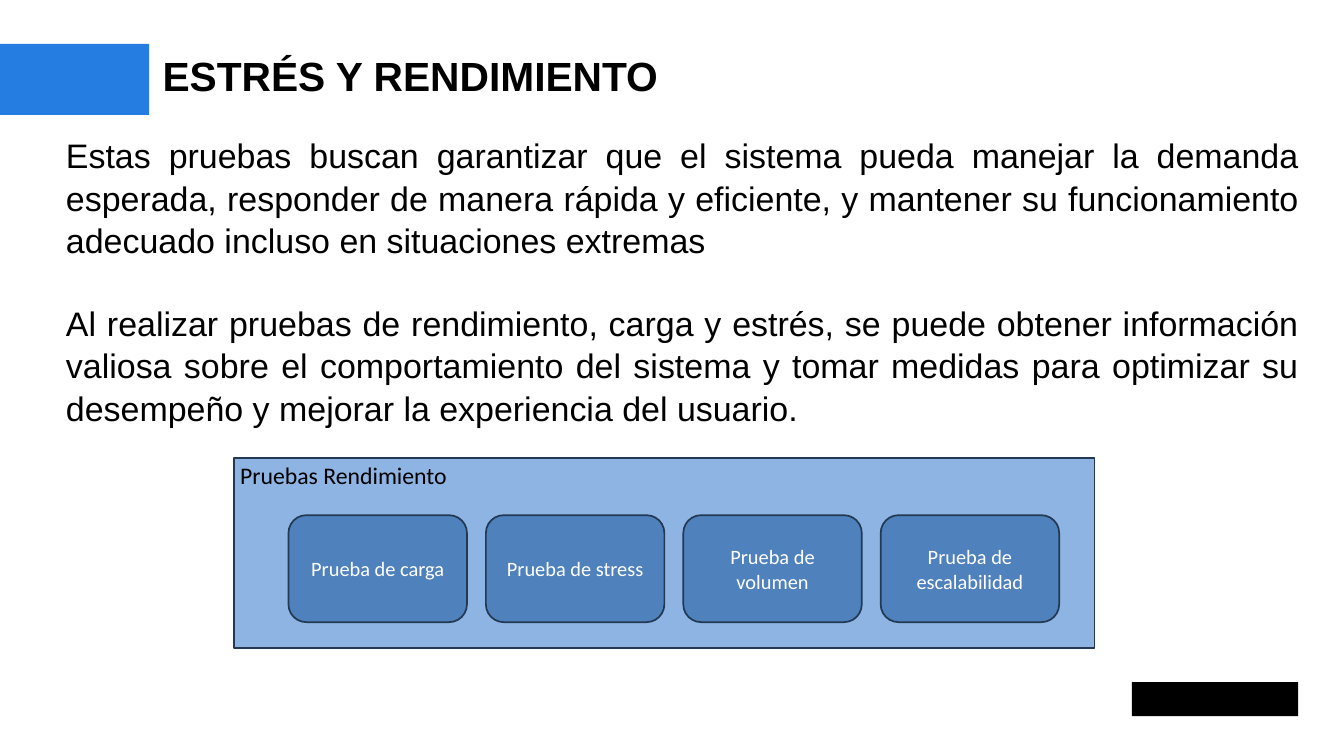
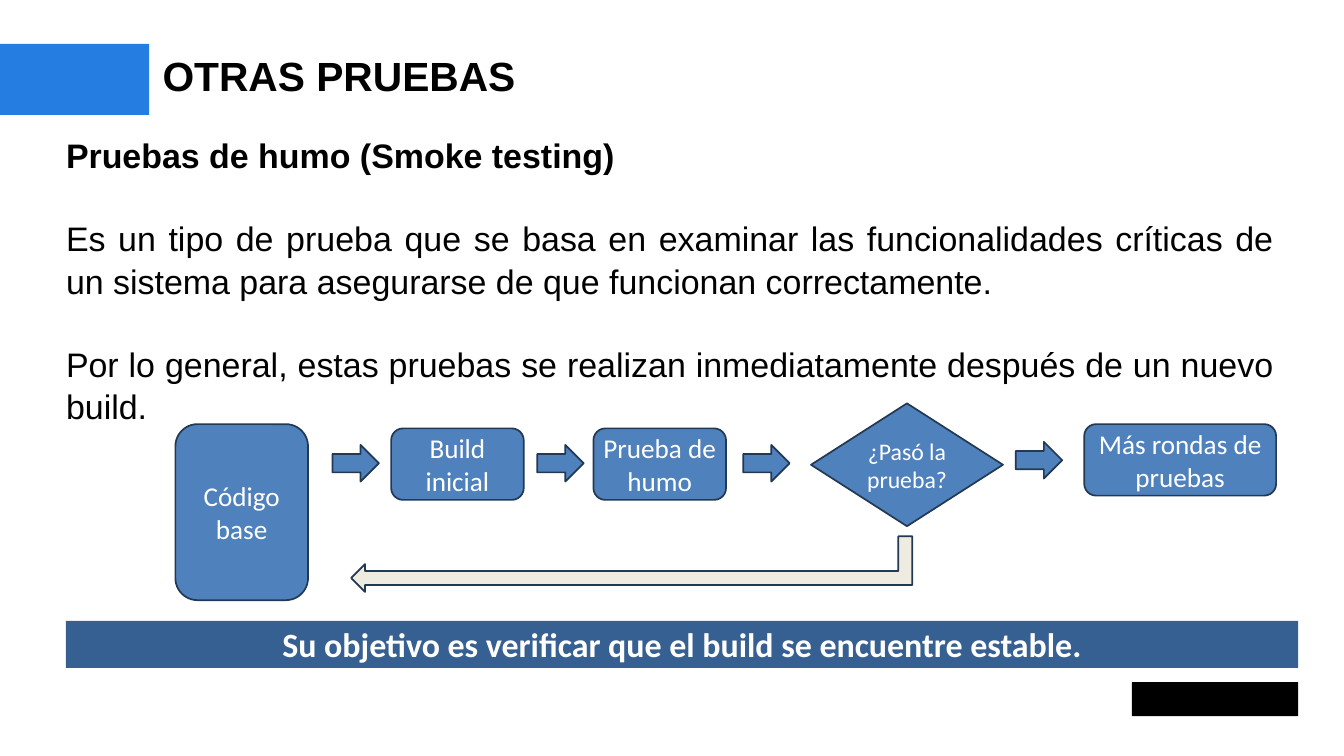
from dataclasses import dataclass

from pptx import Presentation
from pptx import util as u
from pptx.dml import color as c
from pptx.enum import shapes as sh
from pptx.enum import text as t

KIND = sh.MSO_SHAPE
ALIGN = t.PP_ALIGN
ANCHOR = t.MSO_ANCHOR


@dataclass(frozen=True)
class Theme:
    # Colours
    band: str = "257CE1"
    panel: str = "8EB4E3"
    box: str = "4F81BD"
    banner: str = "376092"
    back: str = "EEECE1"
    edge: str = "233953"
    dark: str = "000000"
    light: str = "FFFFFF"
    # Fonts and type sizes
    head: str = "Arial"
    label: str = "Calibri"
    title: int = 48
    body: int = 40
    large: int = 32
    mid: int = 28
    small: int = 24
    # Body line pitch and paragraph gap
    pitch: float = 1.04
    gap: int = 48


class Deck:
    def __init__(self, theme):
        self.th = theme
        self.prs = Presentation()
        self.prs.slide_width = u.Inches(21.99)
        self.prs.slide_height = u.Inches(12.37)
        self.cur = None

    def page(self, title):
        """Start a slide with its band, corner mark and title."""
        th = self.th
        self.cur = self.prs.slides.add_slide(self.prs.slide_layouts[6])
        self.shape(KIND.RECTANGLE, 0, 0.72, 2.44, 1.16, th.band, edge=False)
        self.shape(KIND.RECTANGLE, 18.52, 11.16, 2.72, 0.56, th.dark, edge=False)
        para = self.frame(2.66, 0.83, 18.58, 0.81).paragraphs[0]
        self.run(para, title, th.title, th.head, th.dark, True)

    def frame(self, x, y, w, h):
        """Add an unpadded text box and return its text frame."""
        box = self.cur.shapes.add_textbox(*map(u.Inches, (x, y, w, h)))
        tf = box.text_frame
        tf.word_wrap = True
        tf.margin_left = tf.margin_right = tf.margin_top = tf.margin_bottom = 0
        return tf

    def run(self, para, words, size, font, color, bold=False):
        run = para.add_run()
        run.text = words
        run.font.size = u.Pt(size)
        run.font.name = font
        run.font.bold = bold
        run.font.color.rgb = c.RGBColor.from_string(color)

    def body(self, width, *items):
        """Add justified paragraphs, each given as (words, bold)."""
        th = self.th
        tf = self.frame(1.08, 2.18, width, 4.71)
        for i, (words, bold) in enumerate(items):
            para = tf.add_paragraph() if i else tf.paragraphs[0]
            para.alignment = ALIGN.JUSTIFY
            para.line_spacing = th.pitch
            para.space_before = u.Pt(th.gap if i else 0)
            self.run(para, words, th.body, th.head, th.dark, bold)

    def shape(self, kind, x, y, w, h, fill, edge=True):
        item = self.cur.shapes.add_shape(kind, *map(u.Inches, (x, y, w, h)))
        item.shadow.inherit = False
        item.fill.solid()
        item.fill.fore_color.rgb = c.RGBColor.from_string(fill)
        if edge:
            item.line.color.rgb = c.RGBColor.from_string(self.th.edge)
            item.line.width = u.Pt(2)
        else:
            item.line.fill.background()
        return item

    def label(self, item, words, size, color=None, bold=False,
              align=ALIGN.CENTER, anchor=ANCHOR.MIDDLE):
        tf = item.text_frame
        tf.word_wrap = True
        tf.vertical_anchor = anchor
        para = tf.paragraphs[0]
        para.alignment = align
        self.run(para, words, size, self.th.label, color or self.th.light, bold)

    def node(self, words, x, y, w, h, size, kind=KIND.ROUNDED_RECTANGLE):
        self.label(self.shape(kind, x, y, w, h, self.th.box), words, size)

    def arrow(self, x, y):
        self.shape(KIND.RIGHT_ARROW, x, y, 0.76, 0.6, self.th.box)

    def loop(self, x, y, w, h):
        """Add the return arrow: down from the right, then left."""
        item = self.shape(KIND.BENT_UP_ARROW, x, y, w, h, self.th.back)
        item.rotation = 270
        item.element.spPr.xfrm.set("flipH", "1")


def stress(deck):
    th = deck.th
    deck.page("ESTRÉS Y RENDIMIENTO")
    deck.body(
        20.16,
        ("Estas pruebas buscan garantizar que el sistema pueda manejar la "
         "demanda esperada, responder de manera rápida y eficiente, y mantener "
         "su funcionamiento adecuado incluso en situaciones extremas", False),
        ("Al realizar pruebas de rendimiento, carga y estrés, se puede obtener "
         "información valiosa sobre el comportamiento del sistema y tomar "
         "medidas para optimizar su desempeño y mejorar la experiencia del "
         "usuario.", False))

    # Panel with four kinds of test
    panel = deck.shape(KIND.RECTANGLE, 3.83, 7.49, 14.08, 3.11, th.panel)
    deck.label(panel, "Pruebas Rendimiento", th.mid, th.dark,
               align=ALIGN.LEFT, anchor=ANCHOR.TOP)
    for i, name in enumerate(("carga", "stress", "volumen", "escalabilidad")):
        deck.node(f"Prueba de {name}", 4.72 + 3.23 * i, 8.43, 2.92, 1.75, th.small)


def smoke(deck):
    th = deck.th
    deck.page("OTRAS PRUEBAS")
    deck.body(
        19.75,
        ("Pruebas de humo (Smoke testing)", True),
        ("Es un tipo de prueba que se basa en examinar las funcionalidades "
         "críticas de un sistema para asegurarse de que funcionan "
         "correctamente.", False),
        ("Por lo general, estas pruebas se realizan inmediatamente después de "
         "un nuevo build.", False))

    # Closing banner
    banner = deck.shape(KIND.RECTANGLE, 1.08, 10.16, 20.16, 0.77, th.banner, edge=False)
    deck.label(banner, "Su objetivo es verificar que el build se encuentre estable.",
               th.body, bold=True, anchor=ANCHOR.TOP)

    # Flow from code to further rounds
    for words, x, y, w, h in (
            ("Código base", 2.87, 6.94, 2.17, 2.88),
            ("Build inicial", 6.4, 7.01, 2.17, 1.17),
            ("Prueba de humo", 9.71, 7.01, 2.17, 1.17),
            ("Más rondas de pruebas", 17.74, 6.94, 3.14, 1.17)):
        deck.node(words, x, y, w, h, th.large)
    deck.node("¿Pasó la prueba?", 13.27, 6.6, 3.14, 2.01, th.mid, KIND.DIAMOND)
    for x, y in ((5.44, 7.28), (8.79, 7.28), (12.16, 7.28), (16.62, 7.23)):
        deck.arrow(x, y)
    deck.loop(9.88, 4.64, 0.91, 9.18)


def main():
    deck = Deck(Theme())
    stress(deck)
    smoke(deck)
    deck.prs.save("out.pptx")


if __name__ == "__main__":
    main()
